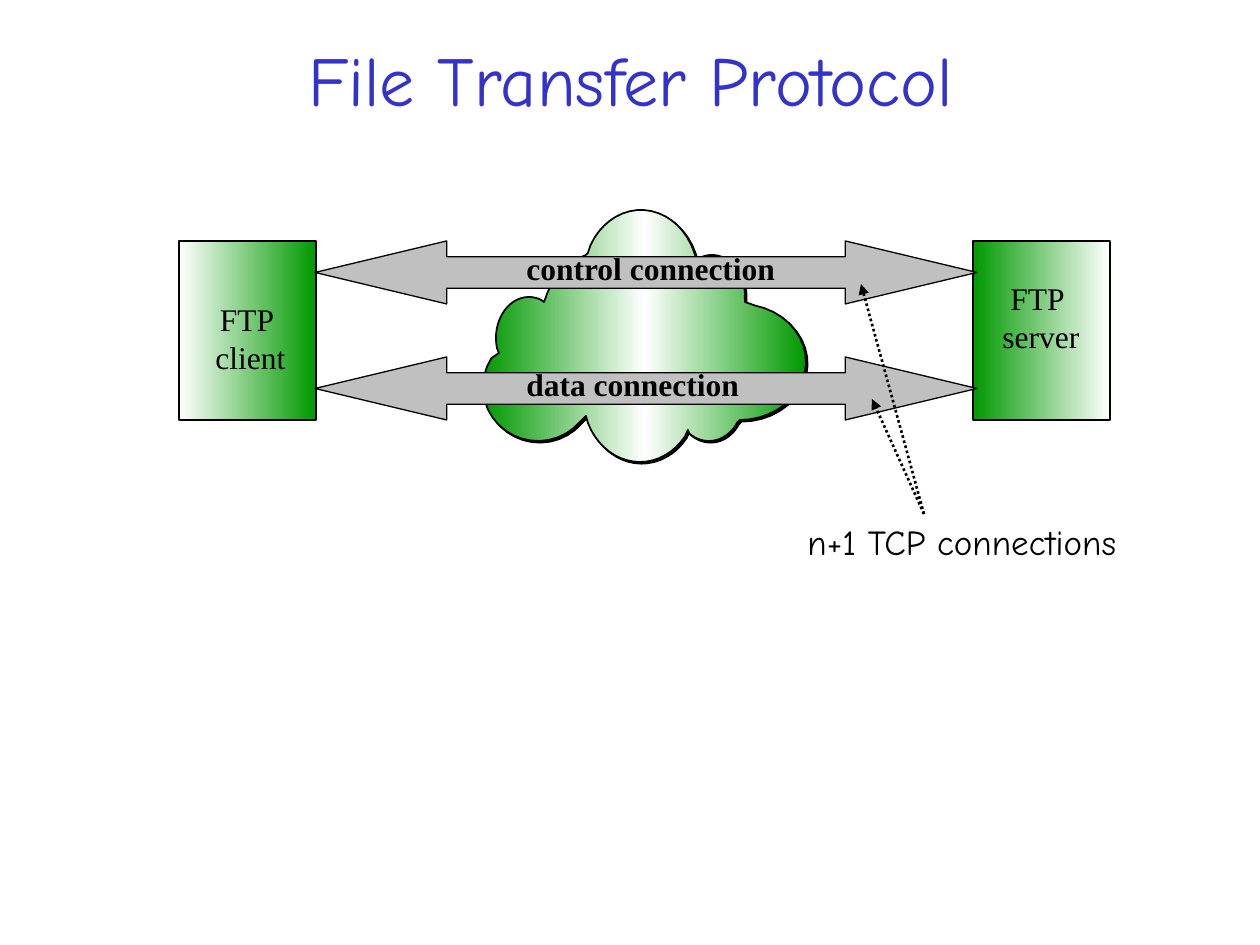
from copy import deepcopy
from math import atan2, cos, pi, sin

from lxml.etree import SubElement
from pptx import Presentation
from pptx.dml.color import RGBColor
from pptx.enum.dml import MSO_LINE
from pptx.enum.shapes import MSO_CONNECTOR, MSO_SHAPE
from pptx.enum.text import MSO_ANCHOR, MSO_AUTO_SIZE, PP_ALIGN
from pptx.oxml import parse_xml
from pptx.oxml.ns import nsdecls, qn
from pptx.util import Pt

SCALE = 914400 / 126
COLORS = {"title": "3333CC", "ink": "000000", "green": "009900",
          "white": "FFFFFF", "gray": "C0C0C0"}
SERIF = "Times New Roman"
COMIC = "Comic Neue"
CUSPS = [(586, 416), (499, 353), (544, 302), (588, 253),
         (697, 260), (745, 302), (740, 420), (688, 430)]
LOBES = [(538, 387, 55, 54), (529, 338, 33, 41), (605, 321, 63, 69),
         (641, 276, 57, 66), (712, 295, 33, 40), (740, 362, 66, 58),
         (709, 403, 33, 38), (640, 396, 57, 66)]
STEPS = 20


def px(*nums):
    return [round(num * SCALE) for num in nums]


def color(name):
    return RGBColor.from_string(COLORS[name])


def style(frame, font, size, hue="ink", bold=False, align=PP_ALIGN.LEFT):
    for para in frame.paragraphs:
        para.alignment = align
        for run in para.runs:
            run.font.name = font
            run.font.size = Pt(size)
            run.font.bold = bold
            run.font.color.rgb = color(hue)


def add_title(slide, text):
    title = slide.shapes.title
    title.left, title.top, title.width, title.height = px(95, 21, 1071, 116)
    frame = title.text_frame
    frame.text = text
    frame.vertical_anchor = MSO_ANCHOR.MIDDLE
    style(frame, COMIC, 40, "title", align=PP_ALIGN.CENTER)


def add_label(slide, box, text, font=SERIF, size=18, wrap=False, **look):
    frame = slide.shapes.add_textbox(*px(*box)).text_frame
    frame.text = text
    frame.word_wrap = wrap
    frame.auto_size = MSO_AUTO_SIZE.SHAPE_TO_FIT_TEXT
    style(frame, font, size, **look)


def set_line(line, width):
    line.color.rgb = color("ink")
    line.width = Pt(width)


def blend(shape, hues):
    fill = shape.fill
    fill.gradient()
    fill.gradient_angle = 0
    stops = shape._element.spPr.find(qn("a:gradFill")).find(qn("a:gsLst"))
    for _ in hues[2:]:
        stops.append(deepcopy(stops[0]))
    for num, (stop, hue) in enumerate(zip(fill.gradient_stops, hues)):
        stop.color.rgb = color(hue)
        stop.position = num / (len(hues) - 1)


def add_host(slide, left, hues):
    host = slide.shapes.add_shape(MSO_SHAPE.RECTANGLE, *px(left, 241, 137, 179))
    host.shadow.inherit = False
    blend(host, hues)
    set_line(host.line, 0.75)


def arc(lobe, start, end):
    mid_x, mid_y, rad_x, rad_y = lobe
    first, last = [atan2((y - mid_y) / rad_y, (x - mid_x) / rad_x)
                   for x, y in (start, end)]
    sweep = (last - first) % (2 * pi)
    turns = [first + sweep * step / STEPS for step in range(1, STEPS)]
    return [(mid_x + rad_x * cos(turn), mid_y + rad_y * sin(turn))
            for turn in turns] + [end]


def add_cloud(slide):
    points = []
    for lobe, start, end in zip(LOBES, CUSPS, CUSPS[1:] + CUSPS[:1]):
        points += arc(lobe, start, end)
    pen = slide.shapes.build_freeform(*px(*CUSPS[0]))
    pen.add_line_segments([px(*point) for point in points], close=True)
    cloud = pen.convert_to_shape()
    blend(cloud, ["green", "white", "green"])
    set_line(cloud.line, 1)
    cloud._element.spPr.append(parse_xml(
        f'<a:effectLst {nsdecls("a")}>'
        f'<a:outerShdw blurRad="0" dist="{Pt(1.4)}" dir="2700000" '
        f'algn="ctr" rotWithShape="0"><a:srgbClr val="{COLORS["ink"]}"/>'
        '</a:outerShdw></a:effectLst>'))


def add_arrow(slide, top):
    arrow = slide.shapes.add_shape(MSO_SHAPE.LEFT_RIGHT_ARROW,
                                   *px(315, top, 662, 63))
    arrow.shadow.inherit = False
    arrow.adjustments[0] = 0.5
    arrow.adjustments[1] = 2.09
    arrow.fill.solid()
    arrow.fill.fore_color.rgb = color("gray")
    set_line(arrow.line, 0.75)


def add_pointer(slide, end):
    link = slide.shapes.add_connector(MSO_CONNECTOR.STRAIGHT,
                                      *px(924, 514, *end))
    set_line(link.line, 1.5)
    link.line.dash_style = MSO_LINE.ROUND_DOT
    SubElement(link.line._get_or_add_ln(), qn("a:tailEnd"), type="triangle")
    SubElement(link._element.spPr, qn("a:effectLst"))


def main():
    deck = Presentation()
    deck.slide_width, deck.slide_height = px(1260, 945)
    slide = deck.slides.add_slide(deck.slide_layouts[5])
    add_title(slide, "File Transfer Protocol")
    add_host(slide, 179, ["white", "green"])
    add_cloud(slide)
    add_host(slide, 973, ["green", "white"])
    add_label(slide, (990, 273, 102, 88), "FTP \nserver",
              align=PP_ALIGN.CENTER)
    tops = {"control connection": 241, "data connection": 357}
    for top in tops.values():
        add_arrow(slide, top)
    for text, top in tops.items():
        add_label(slide, (514, top + 2, 378, 50), text, wrap=True, bold=True)
    add_label(slide, (203, 294, 95, 88), "FTP \nclient",
              align=PP_ALIGN.CENTER)
    add_label(slide, (795, 514, 336, 55), "n+1 TCP connections", COMIC, 20)
    for end in [(872, 399), (861, 284)]:
        add_pointer(slide, end)
    deck.save("out.pptx")


if __name__ == "__main__":
    main()
